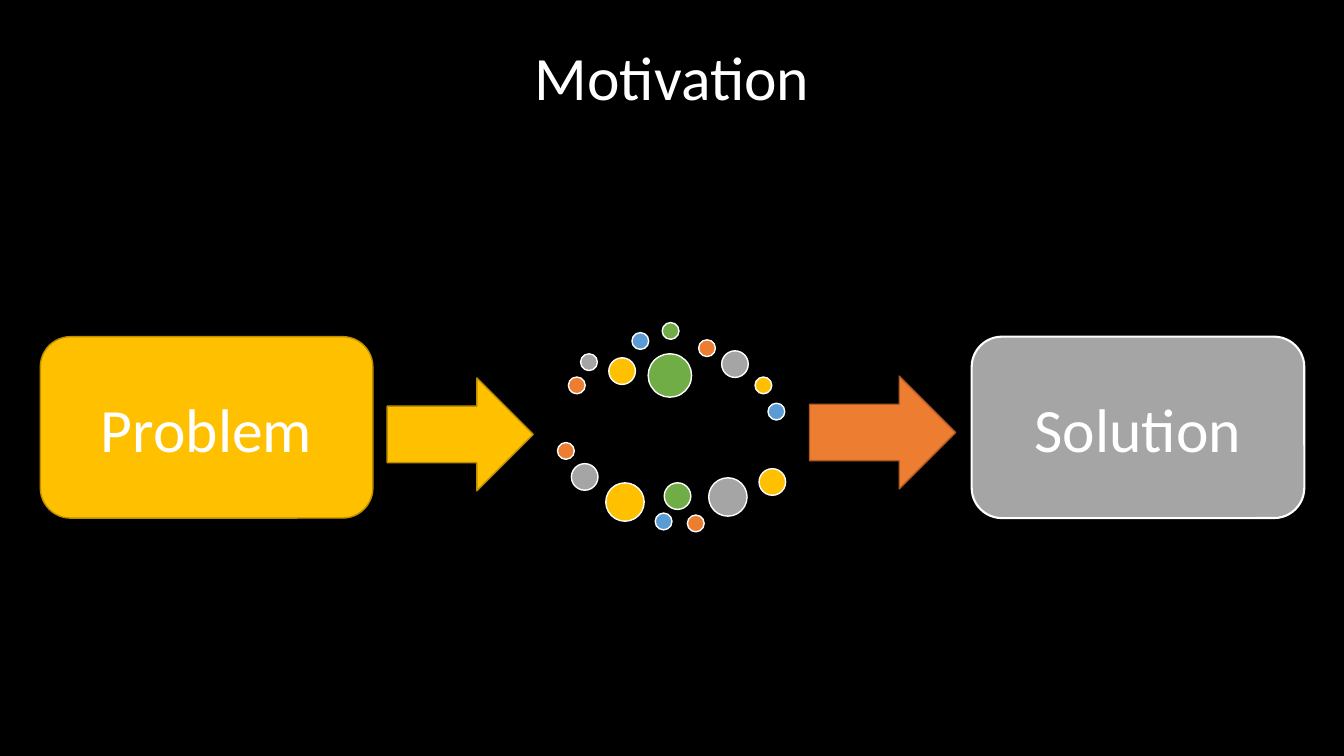
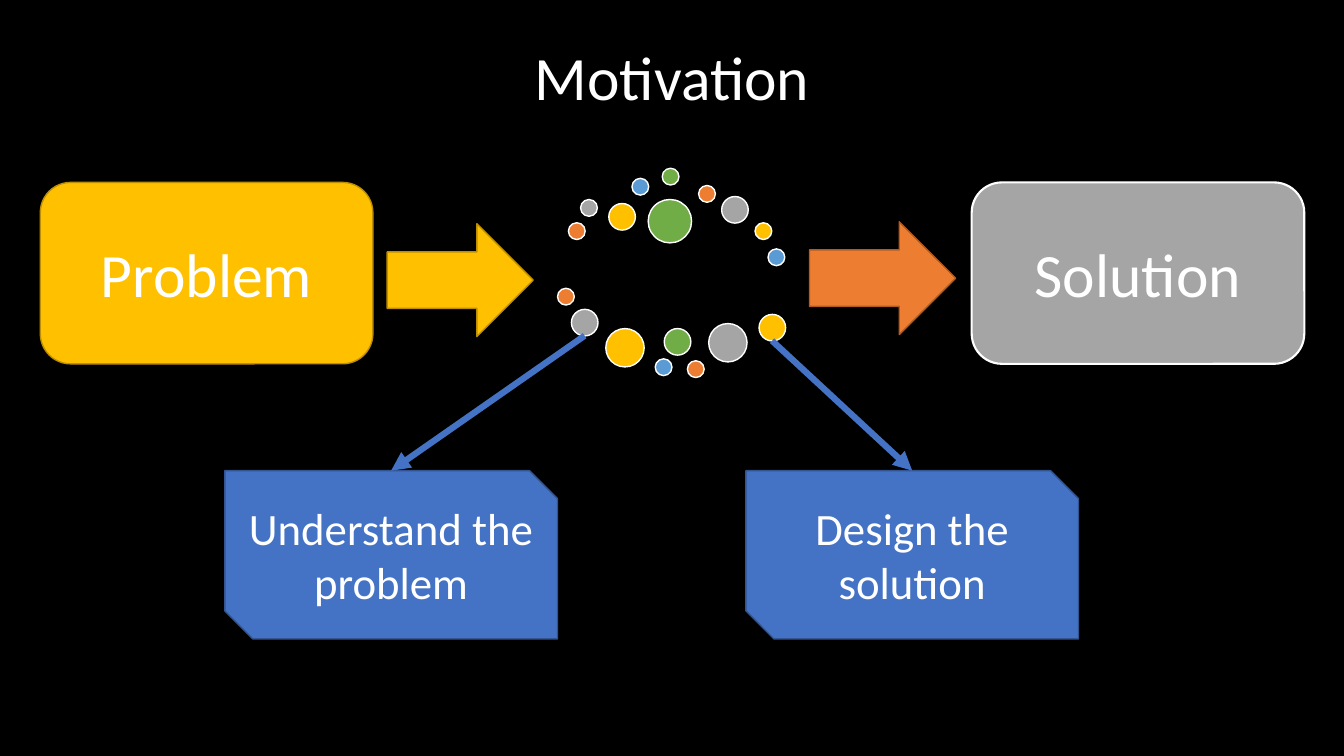
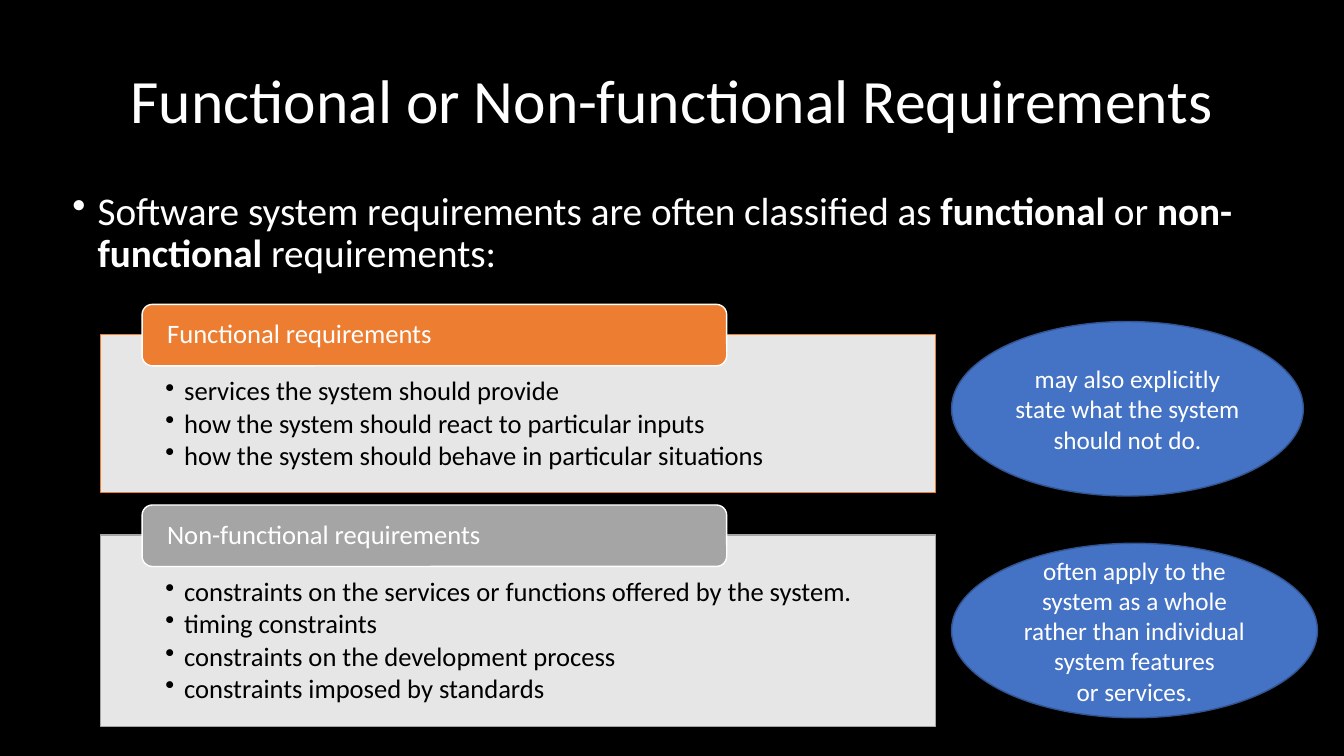
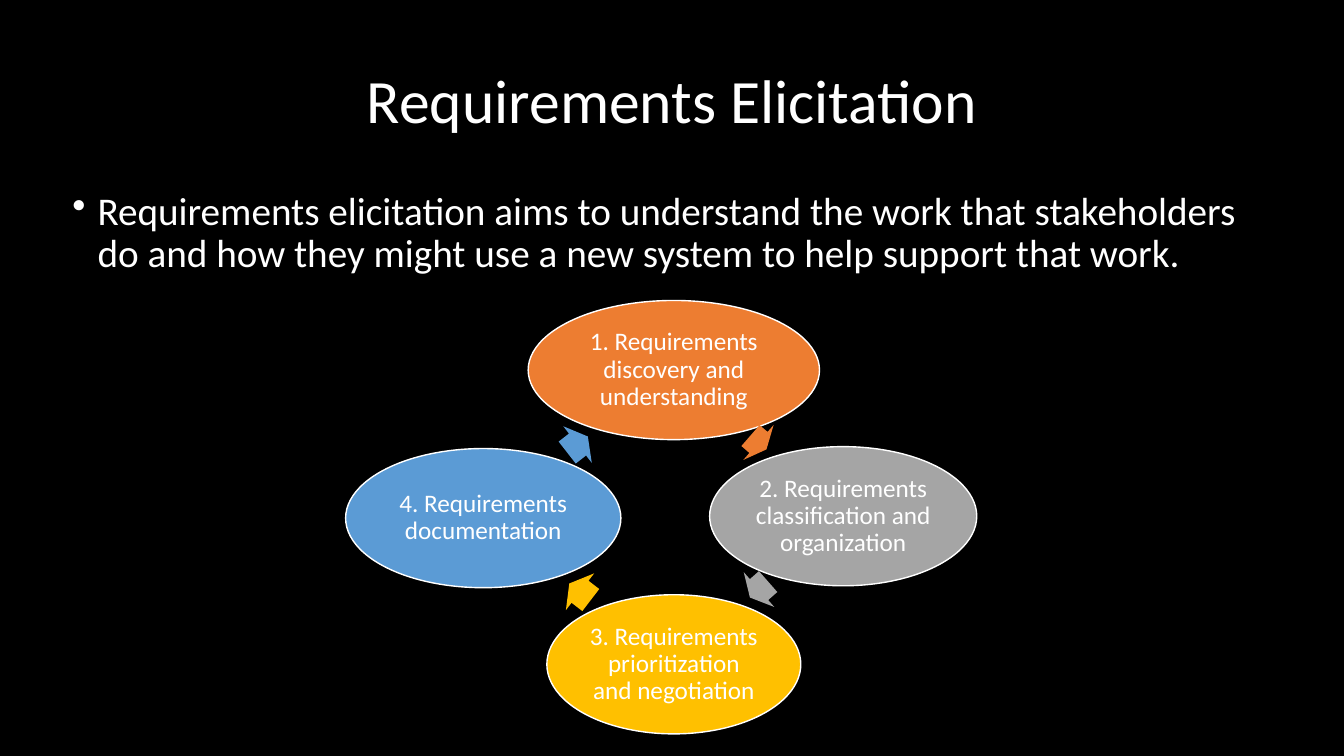
"""Builds four slides on requirements with one shared dark style."""
from lxml import etree
from pptx import Presentation
from pptx import util as u
from pptx.dml.color import RGBColor
from pptx.enum import shapes, text
from pptx.oxml.ns import qn

Pt = u.Pt
KIND = shapes.MSO_SHAPE
MID, TOP = text.MSO_ANCHOR.MIDDLE, text.MSO_ANCHOR.TOP
LEFT, CENTER = text.PP_ALIGN.LEFT, text.PP_ALIGN.CENTER
HUES = {
    "black": "000000", "white": "FFFFFF", "gold": "FFC000", "ochre": "BD8E00",
    "gray": "A5A5A5", "orange": "ED7D31", "rust": "AF5C24", "sky": "5B9BD5",
    "green": "70AD47", "blue": "4472C4", "navy": "325491",
}
INSET = (7.2, 3.6, 7.2, 3.6)
SMALL, MEDIUM, LARGE, HUGE = 12, 19, 27.4, 31
DOTS = [
    (406, 28.8, SMALL, "orange"), (414.7, 12.2, SMALL, "gray"),
    (434.9, 15.1, MEDIUM, "gold"), (451.4, -2.9, SMALL, "sky"),
    (473, -10.1, SMALL, "green"), (499, 2.2, SMALL, "orange"),
    (515.5, 10.1, MEDIUM, "gray"), (539.3, 28.8, SMALL, "gold"),
    (548.6, 47.5, SMALL, "sky"), (463, 12.2, HUGE, "green"),
    (398.2, 75.6, SMALL, "orange"), (408.2, 90.7, MEDIUM, "gray"),
    (432.7, 104.4, LARGE, "gold"), (468, 126, SMALL, "sky"),
    (474.5, 104.4, MEDIUM, "green"), (491, 127.4, SMALL, "orange"),
    (506.2, 100.8, LARGE, "gray"), (542.2, 94.3, MEDIUM, "gold"),
]
WIDE = 237.6


def tint(name):
    return RGBColor.from_string(HUES[name])


class Deck:
    def __init__(self):
        self.prs = Presentation()
        self.prs.slide_width, self.prs.slide_height = Pt(960), Pt(540)
        back = self.prs.slide_master.background.fill
        back.solid()
        back.fore_color.rgb = tint("black")
        self.slide = None

    def page(self, title, top=21.6):
        self.slide = self.prs.slides.add_slide(self.prs.slide_layouts[6])
        box = self.area(66.2, top, 828, 104.4)
        self.label(box, [title], 44, space=0.9)

    def area(self, x, y, w, h):
        return self.slide.shapes.add_textbox(Pt(x), Pt(y), Pt(w), Pt(h))

    def label(self, box, paras, size, hue="white", align=CENTER, anchor=MID,
              inset=INSET, space=1, before=0, after=0, bullet=0):
        frame = box.text_frame
        frame.word_wrap = True
        frame.vertical_anchor = anchor
        (frame.margin_left, frame.margin_top,
         frame.margin_right, frame.margin_bottom) = map(Pt, inset)
        for i, line in enumerate(paras):
            para = frame.add_paragraph() if i else frame.paragraphs[0]
            para.alignment, para.line_spacing = align, space
            para.space_before, para.space_after = Pt(before), Pt(after)
            para.font.name, para.font.size = "Calibri", Pt(size)
            para.font.color.rgb = tint(hue)
            for j, part in enumerate(line.split("*")):
                run = para.add_run()
                run.text = part
                if j % 2:
                    run.font.bold = True
            if bullet:
                self.mark(para, bullet)

    def mark(self, para, indent):
        props = para._p.get_or_add_pPr()
        props.set("marL", str(Pt(indent)))
        props.set("indent", str(-Pt(indent)))
        sign = etree.Element(qn("a:buChar"), char="•")
        props.insert_element_before(sign, "a:tabLst", "a:defRPr", "a:extLst")

    def body(self, line):
        self.label(self.area(44.6, 133.2, 849.6, 353.5), [line], 28,
                   align=LEFT, anchor=TOP, space=0.9, before=10, bullet=18)

    def form(self, kind, x, y, w, h, fill, edge=None, width=1):
        item = self.slide.shapes.add_shape(kind, Pt(x), Pt(y), Pt(w), Pt(h))
        item.shadow.inherit = False
        item.fill.solid()
        item.fill.fore_color.rgb = tint(fill)
        if edge:
            item.line.color.rgb = tint(edge)
            item.line.width = Pt(width)
        else:
            item.line.fill.background()
        return item

    def arrow(self, x1, y1, x2, y2):
        link = self.slide.shapes.add_connector(
            shapes.MSO_CONNECTOR.STRAIGHT, Pt(x1), Pt(y1), Pt(x2), Pt(y2))
        link.line.color.rgb = tint("blue")
        link.line.width = Pt(4.5)
        props = link._element.spPr
        etree.SubElement(props.find(qn("a:ln")), qn("a:tailEnd"), type="triangle")
        etree.SubElement(props, qn("a:effectLst"))

    def flow(self, top):
        ends = [(28.8, "Problem", "gold", "ochre", 1),
                (694.1, "Solution", "gray", "white", 1.5)]
        for x, name, fill, edge, width in ends:
            box = self.form(KIND.ROUNDED_RECTANGLE, x, top, WIDE, 129.6, fill, edge, width)
            self.label(box, [name], 44)
        for x, drop, fill, edge in [(276.5, 29.5, "gold", "ochre"),
                                    (578.2, 28.1, "orange", "rust")]:
            self.form(KIND.RIGHT_ARROW, x, top + drop, 104.4, 80.6, fill, edge)
        for x, drop, size, fill in DOTS:
            self.form(KIND.OVAL, x, top + drop, size, size, fill, "white")

    def step(self, name, x, dot, y):
        top = 336.2
        box = self.form(KIND.SNIP_2_DIAG_RECTANGLE, x, top, WIDE, 120.2, "blue", "navy")
        self.label(box, [name], 32)
        self.arrow(dot, y, x + WIDE / 2, top)

    def card(self, top, high, hue, head, items):
        panel = self.form(KIND.RECTANGLE, 72, top, 596.2, high, "white", hue)
        color = panel._element.spPr.find(qn("a:solidFill"))[0]
        etree.SubElement(color, qn("a:alpha"), val="90000")
        self.label(panel, items, 19, "black", LEFT, TOP, (46.1, 31, 46.1, 10.8),
                   space=0.9, after=2.5, bullet=13.5)
        tab = self.form(KIND.ROUNDED_RECTANGLE, 101.5, top - 21.6, 417.6, 43.9, hue, "white")
        self.label(tab, [head], 19, align=LEFT, inset=(15.8, 0, 15.8, 0), space=0.9)

    def note(self, top, wide, paras):
        oval = self.form(KIND.OVAL, 679.7, top, wide, 124.6, "blue", "navy")
        self.label(oval, paras, 18)

    def stage(self, name, mid, top, wide, hue):
        oval = self.form(KIND.OVAL, mid - wide / 2, top, wide, 99.4, hue, "white")
        self.label(oval, [name], 18, inset=(2.2,) * 4, space=0.9)

    def turn(self, x, y, wide, angle, hue):
        item = self.form(KIND.RIGHT_ARROW, x, y, wide, 33.1, hue)
        item.adjustments[0], item.adjustments[1] = 0.6, 0.5
        item.rotation = angle


def main():
    deck = Deck()
    deck.page("Motivation", 5)
    deck.flow(240.5)

    deck.page("Motivation", 5)
    deck.flow(130.3)
    deck.step("Understand the problem", 160.6, 417.6, 239.8)
    deck.step("Design the solution", 532.8, 551.5, 243.4)

    deck.page("Functional or Non-functional Requirements")
    deck.body("Software system requirements are often classified as "
              "*functional* or *non-functional *requirements:")
    deck.card(239, 113, "orange", "Functional requirements", [
        "services the system should provide",
        "how the system should react to particular inputs",
        "how the system should behave in particular situations"])
    deck.card(382.3, 136.8, "gray", "Non-functional requirements", [
        "constraints on the services or functions offered by the system.",
        "timing constraints",
        "constraints on the development process",
        "constraints imposed by standards"])
    deck.note(229.7, 251.3, ["may also explicitly state what the system should not do."])
    deck.note(388.1, 261.4, [
        "often apply to the system as a whole rather than individual system features",
        "or services."])

    deck.page("Requirements Elicitation")
    deck.body("Requirements elicitation aims to understand the work that stakeholders "
              "do and how they might use a new system to help support that work.")
    stages = [
        ("1. Requirements discovery and understanding", 481.3, 214.6, 208.1,
         "orange", (534.2, 299.5, 15.1, 40.9)),
        ("2. Requirements classification and organization", 602.3, 319, 190.8,
         "gray", (533.5, 404.6, 17.3, 138.7)),
        ("3. Requirements prioritization and negotiation", 481.3, 424.8, 181.4,
         "gold", (404.6, 406.1, 19.4, 217.5)),
        ("4. Requirements documentation", 345.2, 320.4, 196.6,
         "sky", (403.2, 301, 18.7, 322.1)),
    ]
    for name, mid, top, wide, hue, turn in stages:
        deck.stage(name, mid, top, wide, hue)
        deck.turn(*turn, hue)
    deck.prs.save("out.pptx")


if __name__ == "__main__":
    main()
